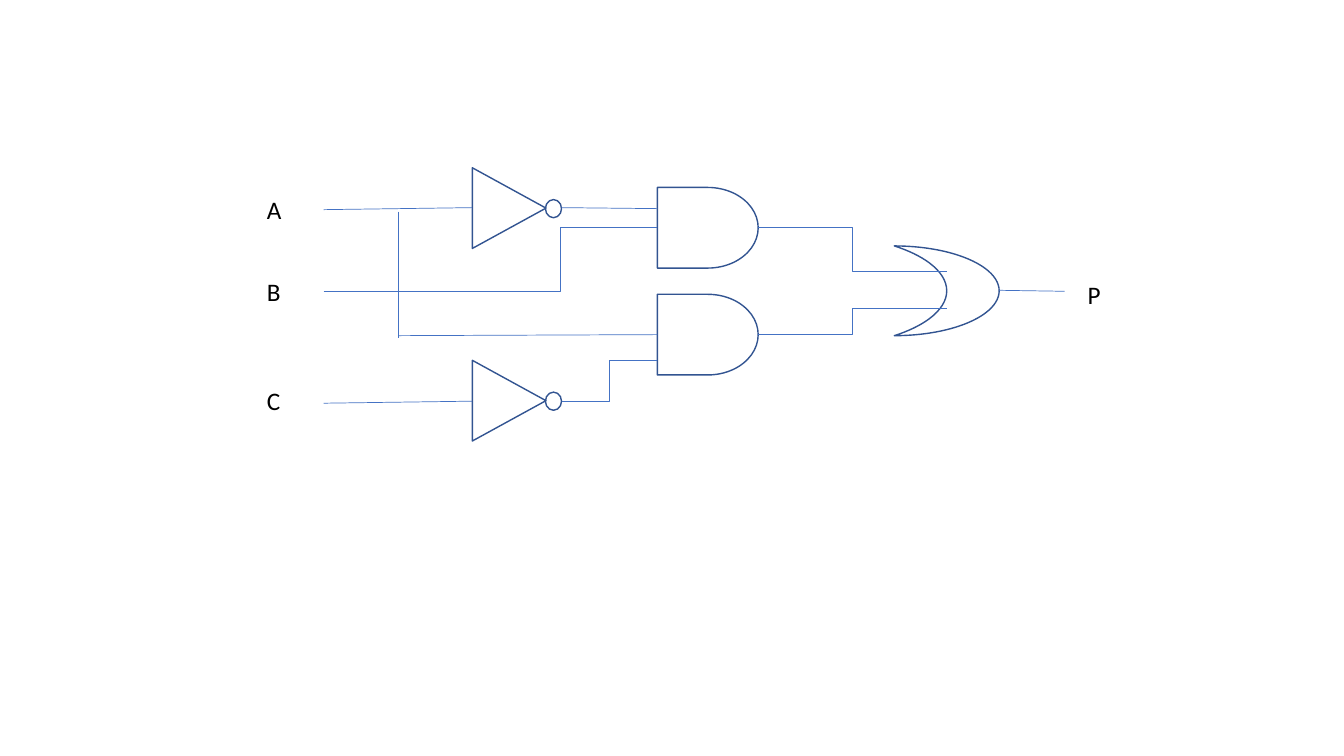
import pptx
import pptx.dml.color
import pptx.enum.shapes
import pptx.oxml
import pptx.oxml.ns
import pptx.util

Inches = pptx.util.Inches
Pt = pptx.util.Pt
SHAPE = pptx.enum.shapes.MSO_SHAPE
CONNECTOR = pptx.enum.shapes.MSO_CONNECTOR
RGBColor = pptx.dml.color.RGBColor

GATE_BLUE = RGBColor(0x32, 0x54, 0x91)
WIRE_BLUE = RGBColor(0x44, 0x72, 0xC4)
BLACK = RGBColor(0, 0, 0)

# Text, left, top, width
LABELS = [
    ("A", 2.55, 1.88, 0.67),
    ("B", 2.55, 2.69, 0.67),
    ("C", 2.55, 3.77, 0.67),
    ("P", 10.69, 2.72, 0.53),
]
LABEL_HEIGHT = 0.4
LABEL_FONT = {"name": "Calibri", "size": Pt(18)}

INVERTER_TOPS = [1.7, 3.61]
AND_GATE_TOPS = [1.86, 2.92]
AND_GATE_LEFT = 6.52

# Start, end
STRAIGHT_WIRES = [
    ((3.21, 2.08), (4.68, 2.06)),
    ((5.57, 2.06), (6.52, 2.07)),
    ((3.21, 4), (4.68, 3.98)),
    ((3.95, 2.1), (3.95, 3.35)),
    ((6.52, 3.32), (3.95, 3.33)),
    ((9.91, 2.88), (10.56, 2.89)),
]
# Start, end, share of the width before the bend
BENT_WIRES = [
    ((3.21, 2.89), (6.52, 2.26), 0.71),
    ((5.57, 3.98), (6.52, 3.58), 0.5),
    ((7.52, 2.26), (9.39, 2.69), 0.5),
    ((7.52, 3.32), (9.39, 3.06), 0.5),
]


def add_outline(slide, kind, left, top, width, height, rotation=0):
    shape = slide.shapes.add_shape(
        kind, Inches(left), Inches(top), Inches(width), Inches(height))
    shape.rotation = rotation
    shape.shadow.inherit = False
    shape.fill.background()
    shape.line.color.rgb = GATE_BLUE
    shape.line.width = Pt(1)


def add_inverter(slide, top):
    add_outline(slide, SHAPE.ISOSCELES_TRIANGLE, 4.65, top, 0.8, 0.73, 90)
    add_outline(slide, SHAPE.OVAL, 5.41, top + 0.28, 0.16, 0.18)


def add_wire(slide, start, end, bend=None):
    kind = CONNECTOR.STRAIGHT if bend is None else CONNECTOR.ELBOW
    wire = slide.shapes.add_connector(
        kind, *(Inches(value) for value in start + end))
    wire.line.color.rgb = WIRE_BLUE
    wire.line.width = Pt(0.5)
    properties = wire._element.spPr
    namespace = pptx.oxml.ns.nsdecls("a")
    properties.append(pptx.oxml.parse_xml(f"<a:effectLst {namespace}/>"))
    if bend is not None:
        geometry = properties.find(pptx.oxml.ns.qn("a:prstGeom"))
        for child in list(geometry):
            geometry.remove(child)
        geometry.append(pptx.oxml.parse_xml(
            f'<a:avLst {namespace}><a:gd name="adj1" '
            f'fmla="val {round(bend * 100000)}"/></a:avLst>'))


def add_label(slide, text, left, top, width):
    box = slide.shapes.add_textbox(
        Inches(left), Inches(top), Inches(width), Inches(LABEL_HEIGHT))
    box.text_frame.word_wrap = True
    run = box.text_frame.paragraphs[0].add_run()
    run.text = text
    for name, value in LABEL_FONT.items():
        setattr(run.font, name, value)
    run.font.color.rgb = BLACK


def main():
    presentation = pptx.Presentation()
    presentation.slide_width = Inches(13.33)
    presentation.slide_height = Inches(7.5)
    slide = presentation.slides.add_slide(presentation.slide_layouts[6])

    for top in INVERTER_TOPS:
        add_inverter(slide, top)
    for top in AND_GATE_TOPS:
        add_outline(slide, SHAPE.FLOWCHART_DELAY, AND_GATE_LEFT, top, 1, 0.8)
    add_outline(slide, SHAPE.MOON, 8.87, 2.44, 1.04, 0.89, 180)
    for wire in STRAIGHT_WIRES + BENT_WIRES:
        add_wire(slide, *wire)
    for label in LABELS:
        add_label(slide, *label)

    presentation.save("out.pptx")


if __name__ == "__main__":
    main()
